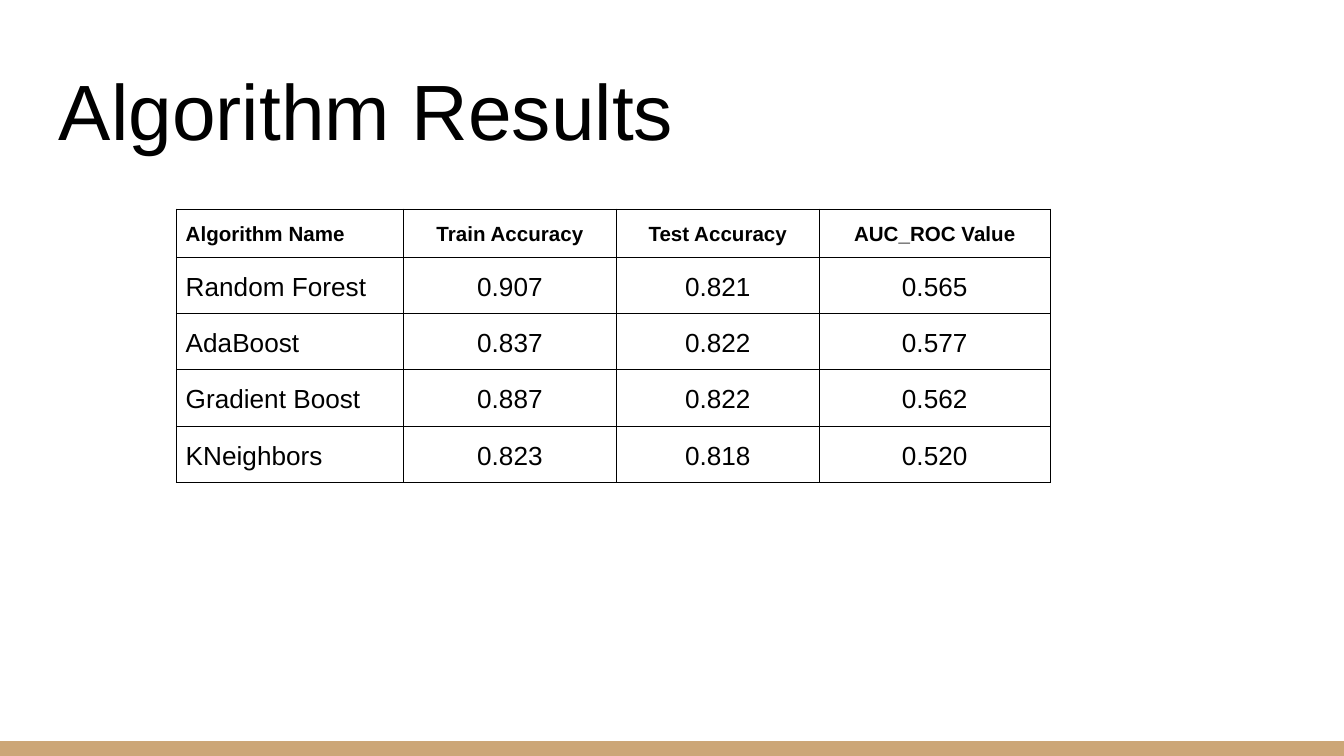
import pptx
import pptx.dml.color
import pptx.enum.shapes
import pptx.enum.text
import pptx.util
from lxml import etree

Pt = pptx.util.Pt
ALIGN = pptx.enum.text.PP_ALIGN
ANCHOR = pptx.enum.text.MSO_ANCHOR

TITLE = "Algorithm Results"
RESULTS = [
    ("Algorithm Name", "Train Accuracy", "Test Accuracy", "AUC_ROC Value"),
    ("Random Forest", "0.907", "0.821", "0.565"),
    ("AdaBoost", "0.837", "0.822", "0.577"),
    ("Gradient Boost", "0.887", "0.822", "0.562"),
    ("KNeighbors", "0.823", "0.818", "0.520"),
]
COLORS = {"text": "000000", "border": "000000", "bar": "CCA677", "page": "FFFFFF"}
FONT = "Arial"
PAGE_WIDTH, PAGE_HEIGHT = 720, 405
BAR_HEIGHT = 7.9
TABLE_LEFT, TABLE_TOP = 94.5, 112
COLUMN_WIDTHS = [121.7, 114, 108.7, 123.8]
ROW_HEIGHT = 24.5
BORDER_WIDTH = 0.5


def rgb(name):
    return pptx.dml.color.RGBColor.from_string(COLORS[name])


def write(frame, text, size, bold=False, align=ALIGN.LEFT, spacing=1.0,
          inset=7.2, anchor=ANCHOR.TOP):
    """Fill a text box or table cell with one formatted paragraph."""
    frame.margin_left = frame.margin_right = Pt(inset)
    frame.margin_top = frame.margin_bottom = Pt(inset)
    frame.vertical_anchor = anchor
    body = getattr(frame, "text_frame", frame)
    body.word_wrap = True
    para = body.paragraphs[0]
    para.alignment = align
    para.line_spacing = spacing
    span = para.add_run()
    span.text = text
    span.font.name = FONT
    span.font.size = Pt(size)
    span.font.bold = bold
    span.font.color.rgb = rgb("text")


def add_borders(cell):
    properties = cell._tc.get_or_add_tcPr()
    space = properties.nsmap["a"]
    for side in ("lnL", "lnR", "lnT", "lnB"):
        line = etree.SubElement(properties, f"{{{space}}}{side}", w=str(Pt(BORDER_WIDTH)))
        fill = etree.SubElement(line, f"{{{space}}}solidFill")
        etree.SubElement(fill, f"{{{space}}}srgbClr", val=COLORS["border"])


def add_results_table(page):
    table = page.shapes.add_table(
        len(RESULTS), len(COLUMN_WIDTHS), Pt(TABLE_LEFT), Pt(TABLE_TOP),
        Pt(sum(COLUMN_WIDTHS)), Pt(ROW_HEIGHT * len(RESULTS))).table
    table.first_row = table.horz_banding = False
    for column, width in zip(table.columns, COLUMN_WIDTHS):
        column.width = Pt(width)
    for row_index, values in enumerate(RESULTS):
        table.rows[row_index].height = Pt(ROW_HEIGHT)
        header = row_index == 0
        for column_index, value in enumerate(values):
            cell = table.cell(row_index, column_index)
            write(cell, value, size=11 if header else 14, bold=header,
                  align=ALIGN.CENTER if column_index else ALIGN.LEFT,
                  spacing=1.2, inset=5)
            add_borders(cell)
            cell.fill.background()


def main():
    deck = pptx.Presentation()
    deck.slide_width, deck.slide_height = Pt(PAGE_WIDTH), Pt(PAGE_HEIGHT)
    page = deck.slides.add_slide(deck.slide_layouts[6])
    page.background.fill.solid()
    page.background.fill.fore_color.rgb = rgb("page")

    bar = page.shapes.add_shape(
        pptx.enum.shapes.MSO_SHAPE.RECTANGLE,
        0, Pt(PAGE_HEIGHT - BAR_HEIGHT), Pt(PAGE_WIDTH), Pt(BAR_HEIGHT))
    bar.shadow.inherit = False
    bar.fill.solid()
    bar.fill.fore_color.rgb = rgb("bar")
    bar.line.fill.background()

    title = page.shapes.add_textbox(Pt(24.5), Pt(25.2), Pt(671), Pt(65.5))
    write(title.text_frame, TITLE, size=42, anchor=ANCHOR.BOTTOM)

    add_results_table(page)
    deck.save("out.pptx")


if __name__ == "__main__":
    main()
